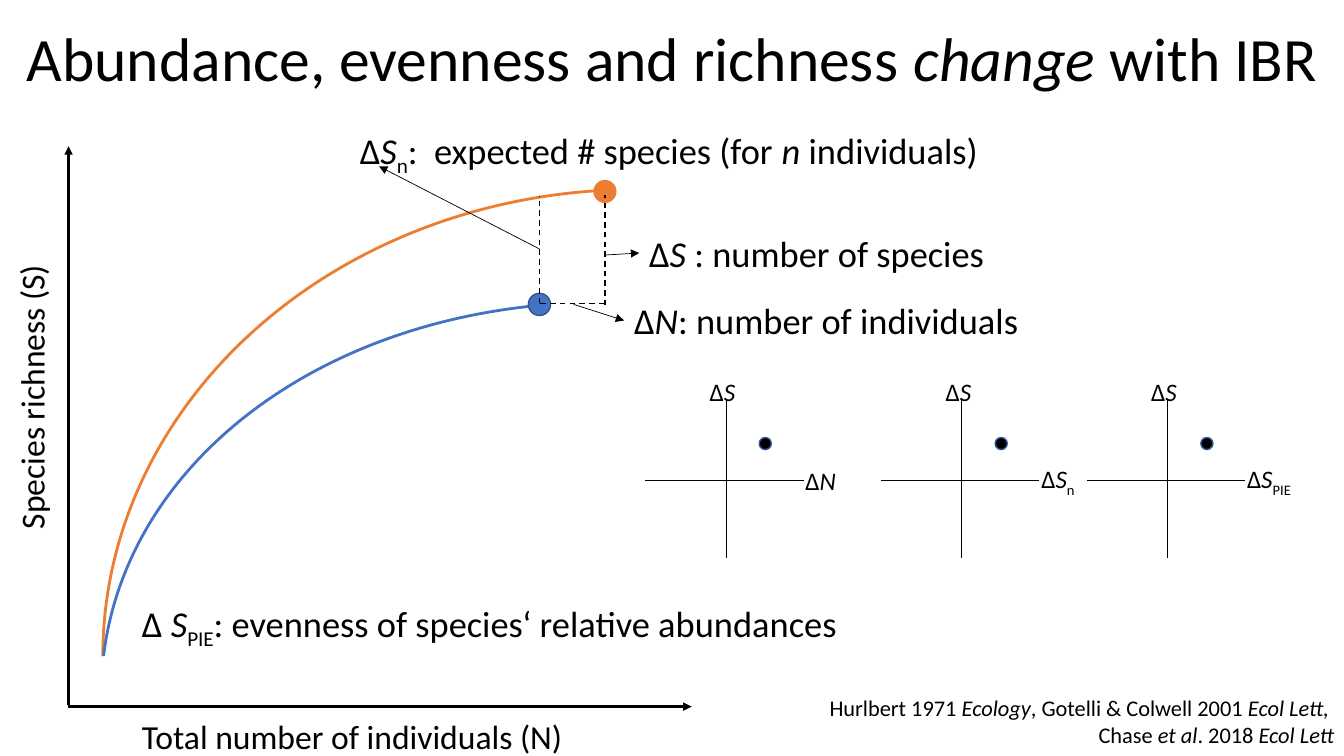
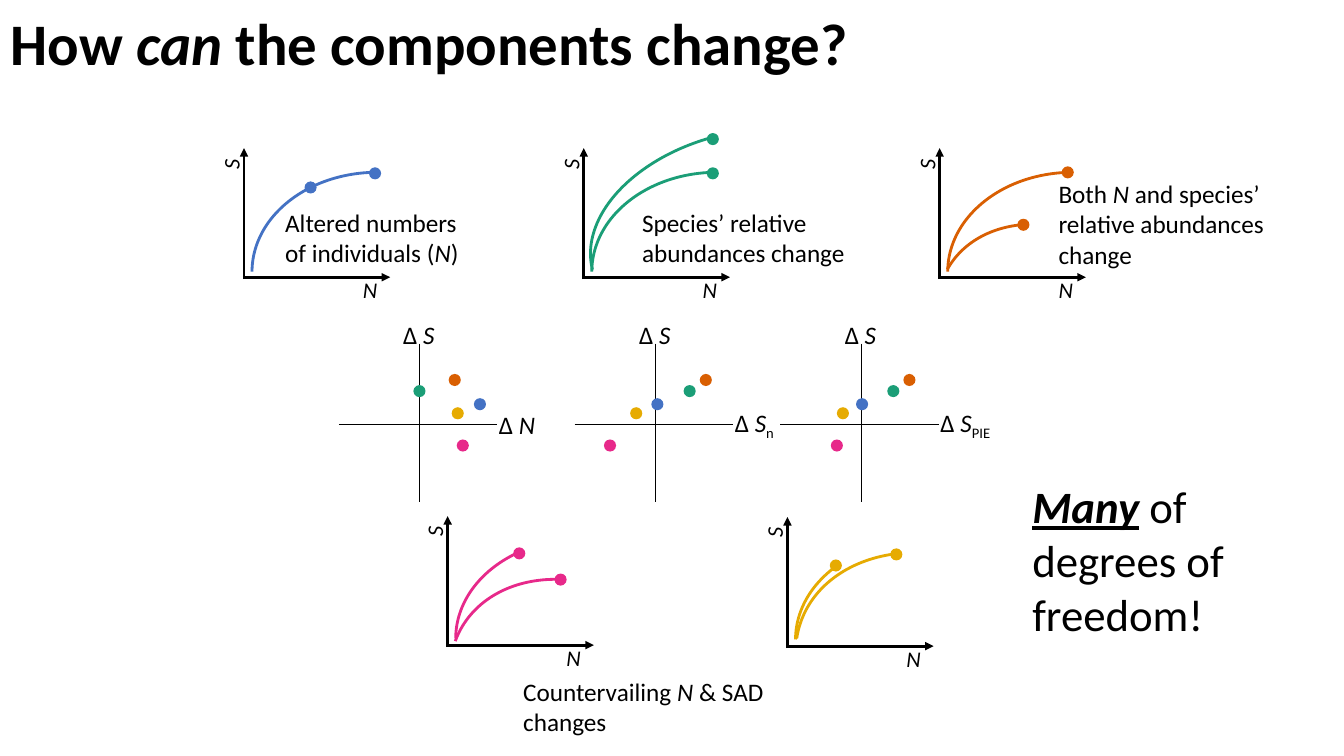
from dataclasses import dataclass

from lxml.etree import SubElement
from pptx import Presentation
from pptx.dml.color import RGBColor
from pptx.enum.dml import MSO_LINE_DASH_STYLE as Dash
from pptx.enum.shapes import MSO_CONNECTOR as Connector, MSO_SHAPE as Shape
from pptx.enum.text import MSO_ANCHOR as Anchor, MSO_AUTO_SIZE as AutoSize, PP_ALIGN as Align
from pptx.oxml.ns import qn
from pptx.util import Inches, Pt

FONT = "Calibri"
COLORS = {
    "black": "000000",
    "blue": "4472C4",
    "dark_blue": "325491",
    "bright_orange": "ED7D31",
    "green": "1B9E77",
    "orange": "D95F02",
    "pink": "E7298A",
    "yellow": "E6AB02",
}
PANEL_OFFSETS = (0, 2.34, 4.38)
PANEL_LABELS = (("*N*", -0.2, 0.51), ("*S*~n~", -0.22, 0.55), ("*S*~PIE~", -0.22, 0.67))


@dataclass
class Curve:
    left: float = 0.08
    top: float = -1.04
    width: float = 2.48
    height: float = 1.97
    start: float = 274.03
    end: float = 0
    rotation: float = 0


RAREFACTION_PLOTS = (
    ("blue", 2.42, 2.75, [Curve()], [(1.3, -1.03), (0.66, -0.89)]),
    ("green", 5.79, 2.75,
     [Curve(), Curve(left=0.04, top=-1.43, width=3.05, rotation=346)],
     [(1.28, -1.03), (1.28, -1.37)]),
    ("orange", 9.32, 2.75,
     [Curve(), Curve(left=-0.08, top=-0.46, start=318.6, rotation=29.1)],
     [(1.27, -1.04), (0.83, -0.52)]),
    ("pink", 4.44, 6.4,
     [Curve(top=-1.05, start=307.42),
      Curve(-0.04, -0.58, 2.72, 2.16, 308.92, 5.68, 29.1)],
     [(1.12, -0.65), (0.71, -0.91)]),
    ("yellow", 7.81, 6.41,
     [Curve(top=-1.05, start=321.02),
      Curve(0.06, -0.9, 2.78, 2.21, 306.91, 5.68, 17.4)],
     [(1.08, -0.91), (0.48, -0.8)]),
)
CHANGE_POINTS = (
    ("green", -0.33, (0, 0.34, 0.32)),
    ("blue", -0.2, (0.6, 0.02, 0.01)),
    ("orange", -0.44, (0.35, 0.5, 0.48)),
    ("pink", 0.21, (0.43, -0.45, -0.24)),
    ("yellow", -0.11, (0.38, -0.19, -0.18)),
)


def rgb(name):
    return RGBColor.from_string(COLORS[name])


def add_marked_runs(paragraph, text, size, bold):
    for i, part in enumerate(text.split("*")):
        for j, piece in enumerate(part.split("~")):
            if not piece:
                continue
            run = paragraph.add_run()
            run.text = piece
            font = run.font
            font.name, font.size = FONT, Pt(size)
            font.bold, font.italic = bold, i % 2 == 1
            font.color.rgb = rgb("black")
            if j % 2:
                run._r.get_or_add_rPr().set("baseline", "-25000")


def add_text(slide, text, left, top, width, height, size,
             wrap=False, align=Align.LEFT, bold=False, rotation=0):
    box = slide.shapes.add_textbox(Inches(left), Inches(top), Inches(width), Inches(height))
    box.rotation = rotation
    frame = box.text_frame
    frame.word_wrap = wrap
    frame.auto_size = AutoSize.SHAPE_TO_FIT_TEXT
    for index, line in enumerate(text.split("\n")):
        paragraph = frame.add_paragraph() if index else frame.paragraphs[0]
        paragraph.alignment = align
        add_marked_runs(paragraph, line, size, bold)
    return frame


def add_title(slide, text, left, top, width, height, size, align, bold):
    frame = add_text(slide, text, left, top, width, height, size, True, align, bold)
    frame.auto_size = AutoSize.NONE
    frame.vertical_anchor = Anchor.MIDDLE
    frame.paragraphs[0].line_spacing = 0.9


def add_line(slide, x1, y1, x2, y2, width=0.5, arrow=False, dashed=False):
    connector = slide.shapes.add_connector(
        Connector.STRAIGHT, Inches(x1), Inches(y1), Inches(x2), Inches(y2))
    line = connector.line
    line.color.rgb = rgb("black")
    line.width = Pt(width)
    if dashed:
        line.dash_style = Dash.DASH
    properties = connector._element.spPr
    if arrow:
        SubElement(properties.find(qn("a:ln")), qn("a:tailEnd"), type="triangle")
    SubElement(properties, qn("a:effectLst"))


def add_dot(slide, x, y, color, diameter=0.12, outline=None):
    dot = slide.shapes.add_shape(
        Shape.OVAL, Inches(x - diameter / 2), Inches(y - diameter / 2),
        Inches(diameter), Inches(diameter))
    dot.shadow.inherit = False
    dot.fill.solid()
    dot.fill.fore_color.rgb = rgb(color)
    if outline:
        dot.line.color.rgb = rgb(outline)
        dot.line.width = Pt(1)
    else:
        dot.line.fill.background()


def add_curve(slide, x, y, curve, color):
    arc = slide.shapes.add_shape(
        Shape.ARC, Inches(x + curve.left), Inches(y + curve.top),
        Inches(curve.width), Inches(curve.height))
    arc.shadow.inherit = False
    arc.fill.background()
    arc.line.color.rgb = rgb(color)
    arc.line.width = Pt(2)
    for index, degrees in enumerate((curve.start, curve.end)):
        arc.adjustments[index] = degrees * 0.6
    arc.rotation = curve.rotation
    arc._element.spPr.find(qn("a:xfrm")).set("flipH", "1")


def add_change_panels(slide, x, y, delta, extra_width=0):
    for offset, (label, label_top, label_width) in zip(PANEL_OFFSETS, PANEL_LABELS):
        center = x + offset
        add_line(slide, center, y - 0.8, center, y + 0.77)
        add_line(slide, center - 0.8, y, center + 0.77, y)
        add_text(slide, delta + "*S*", center - 0.26, y - 1.09, 0.46 + extra_width, 0.4, 18)
        add_text(slide, delta + label, center + 0.69, y + label_top,
                 label_width + extra_width, 0.4, 18)


def add_rarefaction_plot(slide, color, x, y, curves, points):
    add_line(slide, x, y + 0.02, x, y - 1.28, 2, arrow=True)
    add_line(slide, x - 0.01, y, x + 1.45, y, 2, arrow=True)
    add_text(slide, "*S*", x - 0.28, y - 1.31, 0.3, 0.37, 16, rotation=270)
    add_text(slide, "*N*", x + 1.08, y - 0.06, 0.35, 0.37, 16)
    for curve in curves:
        add_curve(slide, x, y, curve, color)
    for dx, dy in points:
        add_dot(slide, x + dx, y + dy, color)


def build_components_slide(slide):
    add_title(slide, "Abundance, evenness and richness *change *with IBR",
              0, -0.11, 13.33, 1.45, 44, Align.CENTER, False)
    add_line(slide, 0.68, 6.99, 0.68, 1.45, 2, arrow=True)
    add_line(slide, 0.67, 7.01, 6.86, 7.01, 2, arrow=True)
    add_text(slide, "Species richness (S)", -1.25, 3.5, 3.16, 0.54, 24, rotation=270)
    add_text(slide, "Total number of individuals (N)", 1.31, 7.05, 4.7, 0.56, 24)

    for text, left, top, width in (
        ("∆*N*: number of individuals", 6.19, 2.91, 4.13),
        ("∆*S* : number of species", 6.34, 2.24, 3.63),
        ("∆ *S*~PIE~: evenness of species‘ relative abundances", 1.31, 5.91, 7.19),
        ("∆*S*~n~:  expected # species (for *n *individuals)", 3.47, 1.22, 6.48),
    ):
        add_text(slide, text, left, top, width, 0.54, 26)
    add_text(slide, "Hurlbert 1971 *Ecology*, Gotelli & Colwell 2001 *Ecol Lett, *\n"
             "Chase *et al*. 2018 *Ecol Lett*", 5.87, 6.84, 7.46, 0.64, 16, True, Align.RIGHT)

    add_curve(slide, 0, 0, Curve(1.02, 1.88, 10.58, 9.26), "bright_orange")
    add_dot(slide, 6, 1.9, "bright_orange", 0.23)
    add_curve(slide, 0, 0, Curve(0.99, 3.02, 10.58, 8.23, 289.55, 0, 6.8), "blue")
    add_dot(slide, 5.35, 3.02, "blue", 0.22, "dark_blue")

    for ends in ((5.35, 3.01, 5.35, 1.94), (5.36, 3.01, 5.99, 3.01), (6, 3.03, 6, 1.93)):
        add_line(slide, *ends, width=1, dashed=True)
    for ends in ((5.35, 2.47, 3.76, 1.65), (6, 2.53, 6.34, 2.51), (5.69, 3.02, 6.19, 3.18)):
        add_line(slide, *ends, arrow=True)

    panel_x, panel_y = 7.2, 4.77
    add_change_panels(slide, panel_x, panel_y, "∆")
    for offset in PANEL_OFFSETS:
        add_dot(slide, panel_x + offset + 0.39, panel_y - 0.37, "black", outline="dark_blue")


def build_changes_slide(slide):
    add_title(slide, "How *can* the components change?",
              0.01, 0, 9.49, 0.92, 42, Align.LEFT, True)
    panel_x, panel_y = 4.16, 4.21
    add_change_panels(slide, panel_x, panel_y, "∆ ", 0.06)
    for color, dy, distances in CHANGE_POINTS:
        for offset, dx in zip(PANEL_OFFSETS, distances):
            add_dot(slide, panel_x + offset + dx, panel_y + dy, color)
    for plot in RAREFACTION_PLOTS:
        add_rarefaction_plot(slide, *plot)

    for text, left, top, width, height in (
        ("Species’ relative abundances change", 6.27, 2.01, 2.79, 0.71),
        ("Altered numbers of individuals (*N*)", 2.73, 2.01, 2.02, 0.71),
        ("Both *N *and species’ relative abundances change", 10.4, 1.72, 2.79, 1.01),
        ("Countervailing *N *& SAD changes", 5.09, 6.66, 3.08, 0.71),
    ):
        add_text(slide, text, left, top, width, height, 18, wrap=True)
    message = add_text(slide, "*Many* of degrees of freedom!", 10.14, 4.7, 2.97, 1.72, 32, wrap=True)
    emphasis = message.paragraphs[0].runs[0].font
    emphasis.bold = emphasis.underline = True


def main():
    presentation = Presentation()
    presentation.slide_width = Inches(13.33)
    presentation.slide_height = Inches(7.5)
    blank_layout = presentation.slide_layouts[6]
    for build in (build_components_slide, build_changes_slide):
        build(presentation.slides.add_slide(blank_layout))
    presentation.save("out.pptx")


if __name__ == "__main__":
    main()
